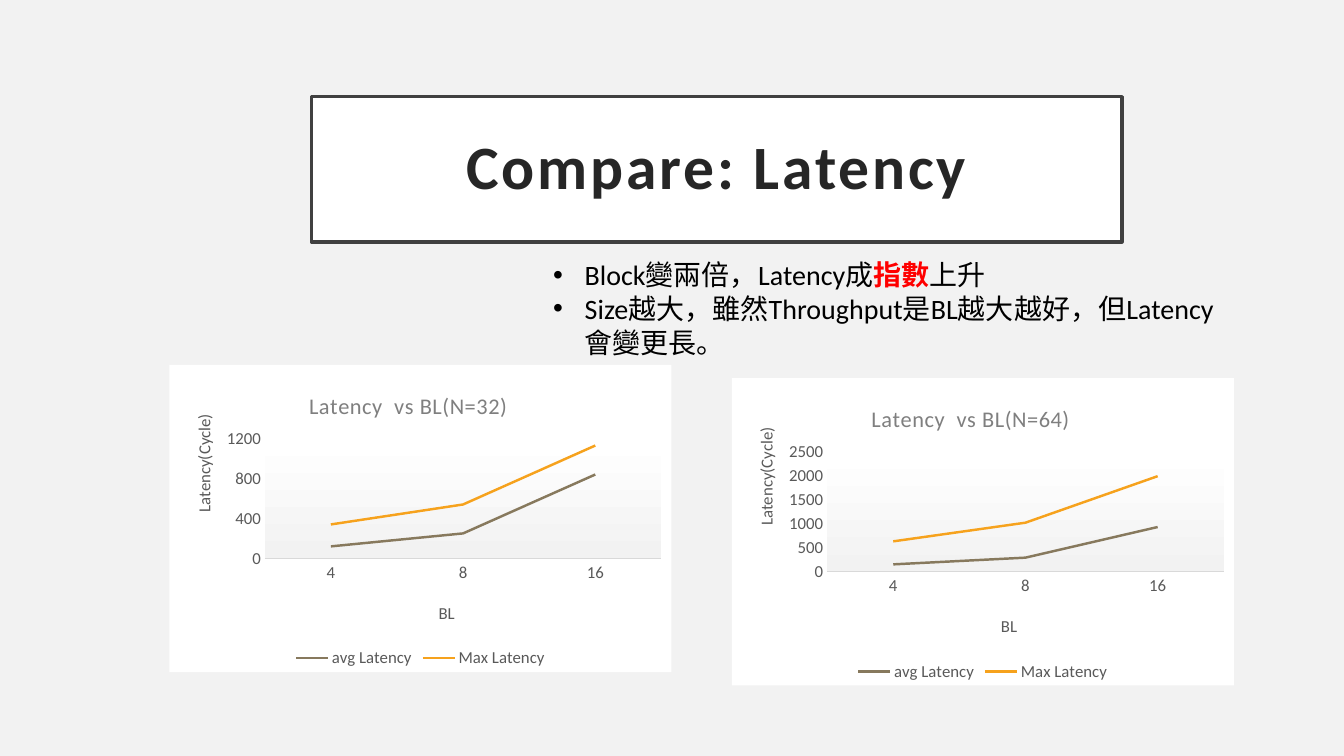
from lxml.etree import SubElement
from pptx import Presentation
from pptx.chart.data import CategoryChartData
from pptx.dml.color import RGBColor
from pptx.enum.chart import XL_CHART_TYPE, XL_LEGEND_POSITION, XL_TICK_MARK
from pptx.enum.shapes import MSO_SHAPE
from pptx.enum.text import MSO_ANCHOR, MSO_AUTO_SIZE, PP_ALIGN
from pptx.oxml import parse_xml
from pptx.oxml.ns import nsdecls, qn
from pptx.util import Pt

FONT = "Calibri"
BACKGROUND = RGBColor(0xF2, 0xF2, 0xF2)
WHITE = RGBColor(0xFF, 0xFF, 0xFF)
BLACK = RGBColor(0x00, 0x00, 0x00)
RED = RGBColor(0xFF, 0x00, 0x00)
TITLE_TEXT = RGBColor(0x26, 0x26, 0x26)
TITLE_BORDER = RGBColor(0x40, 0x40, 0x40)
CHART_TITLE = RGBColor(0x7F, 0x7F, 0x7F)
CHART_TEXT = RGBColor(0x59, 0x59, 0x59)
AXIS_LINE = RGBColor(0xD9, 0xD9, 0xD9)
AVERAGE = RGBColor(0x87, 0x79, 0x5D)
MAXIMUM = RGBColor(0xF6, 0xA2, 0x1D)


def set_font(font, size, color, bold=False):
    font.name = FONT
    font.size = Pt(size)
    font.color.rgb = color
    font.bold = bold


def add_title(page, text):
    box = page.shapes.add_shape(
        MSO_SHAPE.RECTANGLE, Pt(222.5), Pt(69.1), Pt(578.9), Pt(103.7))
    box.shadow.inherit = False
    box.fill.solid()
    box.fill.fore_color.rgb = WHITE
    box.line.color.rgb = TITLE_BORDER
    box.line.width = Pt(2.5)
    frame = box.text_frame
    frame.word_wrap = True
    frame.vertical_anchor = MSO_ANCHOR.MIDDLE
    frame.margin_left = frame.margin_right = Pt(14.4)
    frame.margin_top = frame.margin_bottom = Pt(14.4)
    para = frame.paragraphs[0]
    para.alignment = PP_ALIGN.CENTER
    para.line_spacing = 0.9
    span = para.add_run()
    span.text = text
    set_font(para.font, 44, TITLE_TEXT, True)
    span.font._element.set("spc", "200")


def add_bullets(page, items):
    box = page.shapes.add_textbox(Pt(388.1), Pt(180.7), Pt(493.9), Pt(79.9))
    frame = box.text_frame
    frame.word_wrap = True
    frame.auto_size = MSO_AUTO_SIZE.SHAPE_TO_FIT_TEXT
    for number, item in enumerate(items):
        para = frame.add_paragraph() if number else frame.paragraphs[0]
        properties = para._p.get_or_add_pPr()
        properties.set("marL", str(Pt(22.5)))
        properties.set("indent", str(-Pt(22.5)))
        SubElement(properties, qn("a:buFont")).set("typeface", "Arial")
        SubElement(properties, qn("a:buChar")).set("char", "•")
        for text, color, bold in item:
            span = para.add_run()
            span.text = text
            set_font(span.font, 20, color, bold)


def place(element, index, x, y, *size):
    for old in element.findall(qn("c:layout")):
        element.remove(old)
    layout = parse_xml(f"<c:layout {nsdecls('c')}><c:manualLayout/></c:layout>")
    values = [("xMode", "edge"), ("yMode", "edge"), ("x", x), ("y", y)]
    if size:
        values = [("layoutTarget", "inner")] + values + list(zip("wh", size))
    for tag, value in values:
        SubElement(layout[0], qn(f"c:{tag}")).set("val", str(value))
    element.insert(index, layout)


def write_chart_title(title, text, size, color, x, y):
    para = title.text_frame.paragraphs[0]
    span = para.add_run()
    span.text = text
    set_font(para.font, size, color)
    place(title._element, 1, x, y)
    return span


def style_axis(axis, title, x, y):
    axis.has_major_gridlines = False
    axis.major_tick_mark = axis.minor_tick_mark = XL_TICK_MARK.NONE
    set_font(axis.tick_labels.font, 12, CHART_TEXT)
    write_chart_title(axis.axis_title, title, 12, CHART_TEXT, x, y)


def fill_backgrounds(chart):
    chart_part = chart._chartSpace.chart
    chart_part.addnext(parse_xml(
        f'<c:spPr {nsdecls("c", "a")}><a:solidFill><a:srgbClr val="{WHITE}"/>'
        "</a:solidFill><a:ln><a:noFill/></a:ln></c:spPr>"))
    plot_area = chart_part.plotArea
    plot_area.append(parse_xml(
        f'<c:spPr {nsdecls("c", "a")}><a:gradFill><a:gsLst>'
        f'<a:gs pos="0"><a:srgbClr val="{WHITE}"/></a:gs>'
        f'<a:gs pos="100000"><a:srgbClr val="{BACKGROUND}"/></a:gs>'
        '</a:gsLst><a:lin ang="5400000" scaled="0"/></a:gradFill>'
        "<a:ln><a:noFill/></a:ln></c:spPr>"))
    place(plot_area, 0, 0.19, 0.24, 0.79, 0.39)


def add_latency_chart(page, left, top, title, average, maximum, limit, step):
    data = CategoryChartData()
    data.categories = ["4", "8", "16"]
    data.add_series("avg Latency", average)
    data.add_series("Max Latency", maximum)
    chart = page.shapes.add_chart(
        XL_CHART_TYPE.LINE, Pt(left), Pt(top), Pt(358.6), Pt(219.6), data).chart
    set_font(chart.font, 10, BLACK)
    span = write_chart_title(
        chart.chart_title, title, 16, CHART_TITLE, 0.27, 0.07)
    span.font._element.set("spc", "50")
    chart.has_legend = True
    chart.legend.position = XL_LEGEND_POSITION.BOTTOM
    chart.legend.include_in_layout = False
    set_font(chart.legend.font, 12, CHART_TEXT)
    chart.plots[0].vary_by_categories = False
    for series, color in zip(chart.plots[0].series, (AVERAGE, MAXIMUM)):
        series.smooth = False
        series.format.line.color.rgb = color
        series.format.line.width = Pt(1.75)
    style_axis(chart.category_axis, "BL", 0.53, 0.76)
    chart.category_axis.format.line.color.rgb = AXIS_LINE
    chart.category_axis.format.line.width = Pt(0.75)
    style_axis(chart.value_axis, "Latency(Cycle)", 0.04, 0.15)
    chart.value_axis.format.line.fill.background()
    chart.value_axis.minimum_scale = 0
    chart.value_axis.maximum_scale = limit
    chart.value_axis.major_unit = step
    fill_backgrounds(chart)


def main():
    deck = Presentation()
    deck.slide_width, deck.slide_height = Pt(960), Pt(540)
    page = deck.slides.add_slide(deck.slide_layouts[6])
    page.background.fill.solid()
    page.background.fill.fore_color.rgb = BACKGROUND
    add_latency_chart(page, 121, 260.6, "Latency  vs BL(N=32)",
                      (120, 250, 840), (340, 540, 1130), 1200, 400)
    add_latency_chart(page, 522.7, 270, "Latency  vs BL(N=64)",
                      (150, 290, 930), (630, 1020, 1990), 2500, 500)
    add_title(page, "Compare: Latency")
    add_bullets(page, [
        [("Block變兩倍，Latency成", BLACK, False),
         ("指數", RED, True),
         ("上升", BLACK, False)],
        [("Size越大，雖然Throughput是BL越大越好，但Latency會變更長。",
          BLACK, False)],
    ])
    deck.save("out.pptx")


if __name__ == "__main__":
    main()
